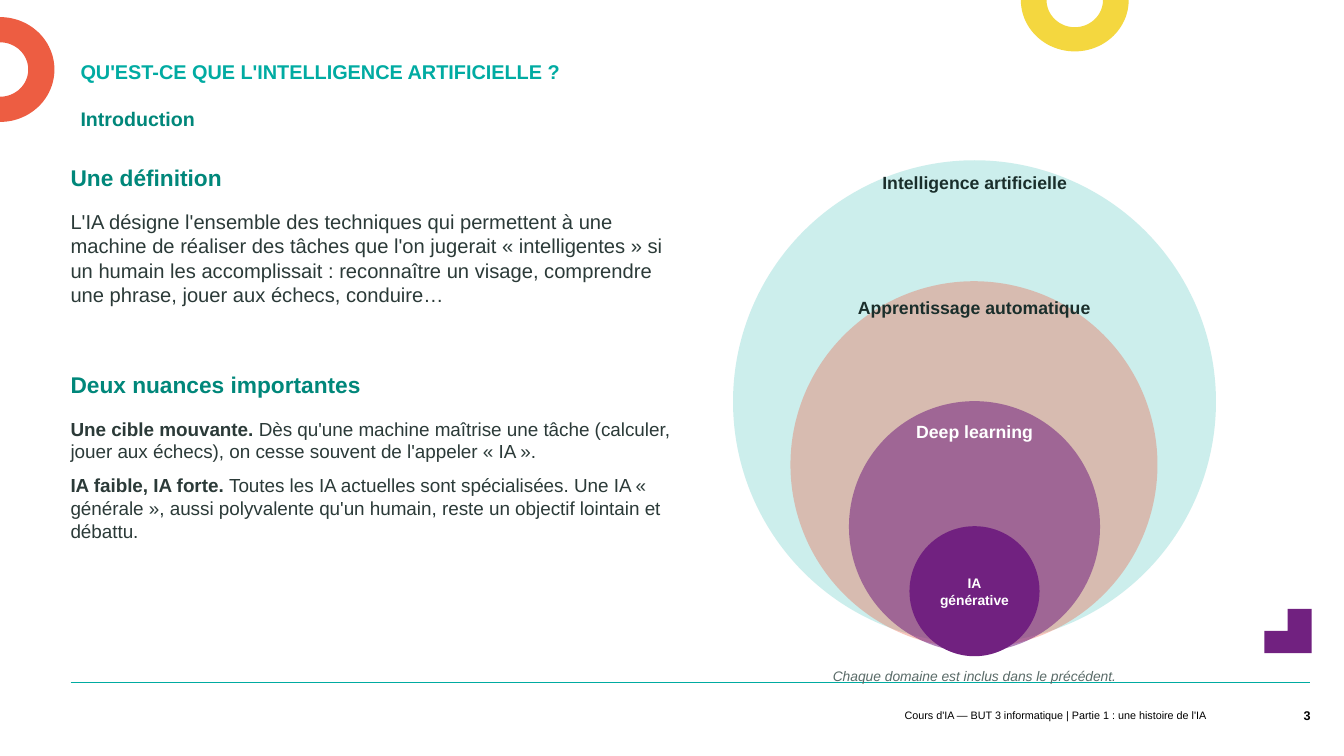
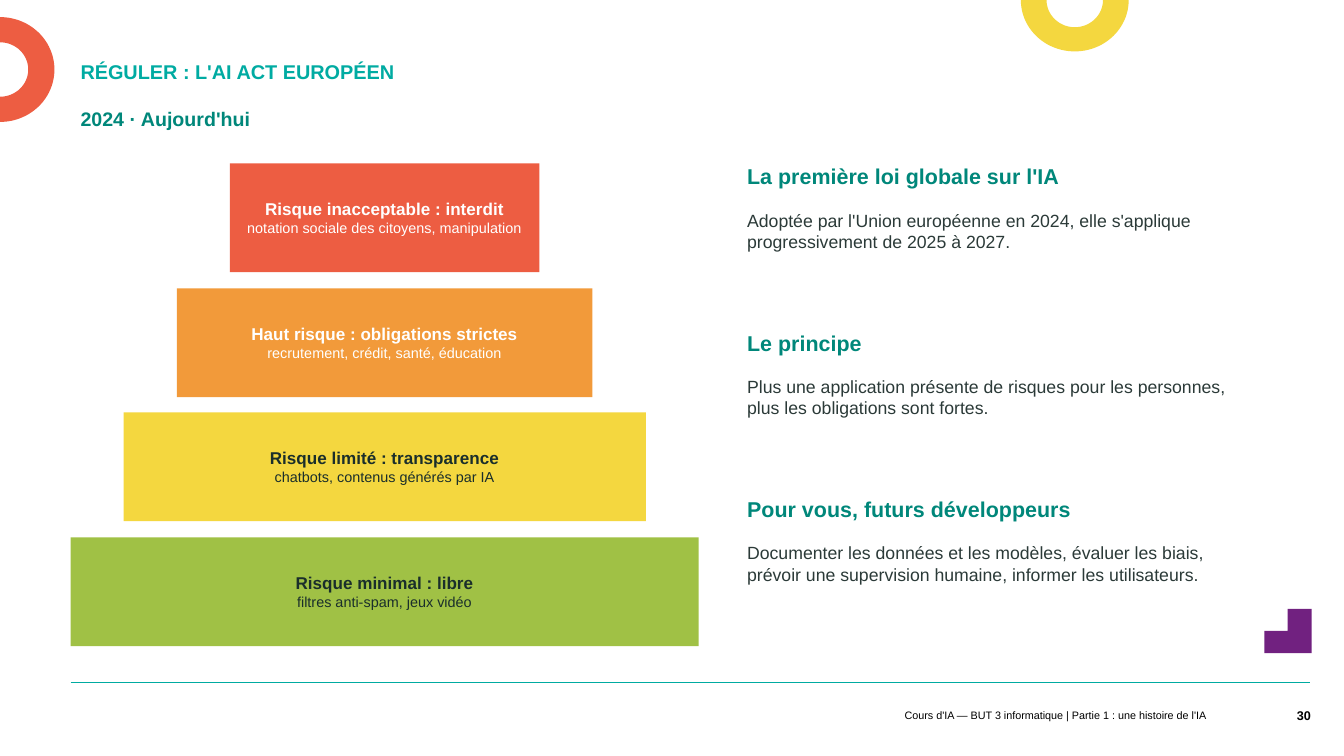
from math import cos, radians, sin

from lxml.etree import SubElement
from pptx import Presentation
from pptx.dml.color import RGBColor
from pptx.enum.shapes import MSO_CONNECTOR, MSO_SHAPE
from pptx.enum.text import MSO_ANCHOR, PP_ALIGN
from pptx.oxml.ns import qn
from pptx.util import Pt

PX = 9144
FONT = "Arial"
COLORS = {
    "title": "00ABA2",
    "rule": "00ABA1",
    "heading": "00877A",
    "body": "2B3A38",
    "dark": "1A2E2B",
    "caption": "5A6B68",
    "black": "000000",
    "white": "FFFFFF",
    "red": "ED5D42",
    "orange": "F29A3A",
    "yellow": "F4D73F",
    "green": "A0C145",
    "purple": "712180",
}
FOOTER = "Cours d'IA — BUT 3 informatique | Partie 1 : une histoire de l'IA"


def emu(*lengths):
    """Convert pixel lengths to EMU."""
    return [round(length * PX) for length in lengths]


def rgb(name):
    """Look up a named colour."""
    return RGBColor.from_string(COLORS[name])


def write(frame, *paragraphs, size, color, bold=False, italic=False,
          align=PP_ALIGN.LEFT, anchor=MSO_ANCHOR.TOP, insets=(0, 0, 0, 0),
          line_spacing=None, space_after=None):
    """Fill a text frame; a paragraph is a string or (text, overrides) runs."""
    frame.word_wrap = True
    frame.vertical_anchor = anchor
    (frame.margin_left, frame.margin_top,
     frame.margin_right, frame.margin_bottom) = emu(*insets)
    for index, runs in enumerate(paragraphs):
        paragraph = frame.add_paragraph() if index else frame.paragraphs[0]
        paragraph.alignment = align
        paragraph.line_spacing = line_spacing
        paragraph.space_after = space_after
        for text, changes in [(runs, {})] if isinstance(runs, str) else runs:
            run = paragraph.add_run()
            run.text = text
            run.font.name = FONT
            run.font.size = Pt(changes.get("size", size))
            run.font.bold = changes.get("bold", bold)
            run.font.italic = italic
            run.font.color.rgb = rgb(color)


class Deck:
    """Course style together with the slide being built."""

    def __init__(self):
        """Open an empty widescreen presentation."""
        self.presentation = Presentation()
        (self.presentation.slide_width,
         self.presentation.slide_height) = emu(1333, 750)
        self.shapes = None

    def start(self, title, subtitle, number):
        """Add a slide with its decoration, headings and footer."""
        layout = self.presentation.slide_layouts[6]
        self.shapes = self.presentation.slides.add_slide(layout).shapes
        self.half_ring(1066, 0, (53.5, 51), (28, 27), 0, "yellow")
        self.half_ring(0, 69, (54, 52), (28, 27), -90, "red")
        self.outline([(1277, 604), (1301, 604), (1301, 648),
                      (1254, 648), (1254, 626), (1277, 626)], "purple")
        self.rule(70, 677, 1299)
        self.text((70, 104, 972, 46), subtitle, size=14, color="heading",
                  bold=True, insets=(10, 5, 10, 5), line_spacing=0.9)
        self.text((70, 54, 972, 34), title, size=14.2, color="title",
                  bold=True, insets=(10, 5, 10, 5), line_spacing=Pt(16.7),
                  anchor=MSO_ANCHOR.BOTTOM)
        self.text((543, 698, 663, 23), FOOTER, size=7.7, color="black",
                  insets=(10, 5, 10, 5), align=PP_ALIGN.RIGHT,
                  anchor=MSO_ANCHOR.MIDDLE)
        self.text((1245, 690, 55, 40), number, size=9, color="black",
                  bold=True, insets=(10, 5, 0, 5), align=PP_ALIGN.RIGHT,
                  anchor=MSO_ANCHOR.MIDDLE)

    def paint(self, shape, color, opacity=100):
        """Give a shape a flat fill without line or shadow."""
        shape.shadow.inherit = False
        shape.line.fill.background()
        shape.fill.solid()
        shape.fill.fore_color.rgb = rgb(color)
        if opacity < 100:
            tint = shape.fill._xPr.find(".//" + qn("a:srgbClr"))
            SubElement(tint, qn("a:alpha"), val=str(opacity * 1000))

    def outline(self, points, color):
        """Draw a filled polygon."""
        first, *others = [emu(*point) for point in points]
        builder = self.shapes.build_freeform(*first)
        builder.add_line_segments(others, close=True)
        self.paint(builder.convert_to_shape(), color)

    def half_ring(self, x, y, outer, inner, start, color):
        """Draw half a ring, clockwise from the start angle."""
        angles = [radians(start + step) for step in range(0, 181, 4)]
        arcs = [(outer, angles), (inner, angles[::-1])]
        self.outline([(x + rx * cos(angle), y + ry * sin(angle))
                      for (rx, ry), sweep in arcs for angle in sweep], color)

    def rule(self, left, y, right):
        """Draw the thin line above the footer."""
        line = self.shapes.add_connector(
            MSO_CONNECTOR.STRAIGHT, *emu(left, y, right, y))
        line.line.color.rgb = rgb("rule")
        line.line.width = Pt(0.5)
        SubElement(line._element.spPr, qn("a:effectLst"))

    def shape(self, kind, area, color, opacity=100):
        """Draw a preset shape and return it."""
        shape = self.shapes.add_shape(kind, *emu(*area))
        self.paint(shape, color, opacity)
        return shape

    def text(self, area, *paragraphs, **style):
        """Place a text box."""
        write(self.shapes.add_textbox(*emu(*area)).text_frame,
              *paragraphs, **style)

    def section(self, area, heading, *paragraphs, heading_size, size,
                space_after=None):
        """Place a heading with its body text below."""
        left, top, width, height = area
        self.text((left, top, width, 41), heading, size=heading_size,
                  color="heading", bold=True)
        self.text((left, top + 46, width, height - 46), *paragraphs,
                  size=size, color="body", space_after=space_after)


def definition_slide(deck):
    """Define AI beside its nested fields."""
    deck.start("QU'EST-CE QUE L'INTELLIGENCE ARTIFICIELLE ?",
               "Introduction", "3")
    deck.section(
        (70, 162, 604, 190), "Une définition",
        "L'IA désigne l'ensemble des techniques qui permettent à une machine "
        "de réaliser des tâches que l'on jugerait « intelligentes » si un "
        "humain les accomplissait : reconnaître un visage, comprendre une "
        "phrase, jouer aux échecs, conduire…",
        heading_size=16.2, size=14.4)
    deck.section(
        (70, 368, 604, 273), "Deux nuances importantes",
        [("Une cible mouvante. ", {"bold": True}),
         ("Dès qu'une machine maîtrise une tâche (calculer, jouer aux "
          "échecs), on cesse souvent de l'appeler « IA ».", {})],
        [("IA faible, IA forte. ", {"bold": True}),
         ("Toutes les IA actuelles sont spécialisées. Une IA « générale », "
          "aussi polyvalente qu'un humain, reste un objectif lointain et "
          "débattu.", {})],
        heading_size=16.2, size=13.5, space_after=Pt(8))

    center = 966
    label = dict(bold=True, align=PP_ALIGN.CENTER, anchor=MSO_ANCHOR.MIDDLE)
    fields = [
        ("Intelligence artificielle", 159, 479, 160, "title", 20, "dark"),
        ("Apprentissage automatique", 279, 364, 284, "red", 35, "dark"),
        ("Deep learning", 398, 249, 407, "purple", 55, "white"),
    ]
    for name, top, diameter, name_top, color, opacity, ink in fields:
        left = center - diameter // 2
        deck.shape(MSO_SHAPE.OVAL, (left, top, diameter, diameter),
                   color, opacity)
        deck.text((left + 10, name_top, diameter - 20, 41), name,
                  size=12.6, color=ink, **label)
    generative = deck.shape(MSO_SHAPE.OVAL, (902, 522, 129, 129), "purple")
    write(generative.text_frame, "IA", "générative",
          size=9.9, color="white", **label)
    deck.text((727, 662, 479, 31),
              "Chaque domaine est inclus dans le précédent.",
              size=9.9, color="caption", italic=True, align=PP_ALIGN.CENTER)


def regulation_slide(deck):
    """Show the risk pyramid of the AI Act."""
    deck.start("RÉGULER : L'AI ACT EUROPÉEN", "2024 · Aujourd'hui", "30")
    risks = [
        ("Risque inacceptable : interdit",
         "notation sociale des citoyens, manipulation", "red", "white"),
        ("Haut risque : obligations strictes",
         "recrutement, crédit, santé, éducation", "orange", "white"),
        ("Risque limité : transparence",
         "chatbots, contenus générés par IA", "yellow", "dark"),
        ("Risque minimal : libre",
         "filtres anti-spam, jeux vidéo", "green", "dark"),
    ]
    narrowest, widest = 307, 623
    for index, (level, examples, color, ink) in enumerate(risks):
        width = round(narrowest + (widest - narrowest) * index / 3)
        area = (70 + (widest - width) / 2, round(162 + 371 * index / 3),
                width, 108)
        step = deck.shape(MSO_SHAPE.RECTANGLE, area, color)
        write(step.text_frame, level, [(examples, {"size": 10.3, "bold": False})],
              size=12.2, color=ink, bold=True, align=PP_ALIGN.CENTER,
              anchor=MSO_ANCHOR.MIDDLE, insets=(10, 0, 10, 0))

    remarks = [
        ("La première loi globale sur l'IA",
         "Adoptée par l'Union européenne en 2024, elle s'applique "
         "progressivement de 2025 à 2027."),
        ("Le principe",
         "Plus une application présente de risques pour les personnes, "
         "plus les obligations sont fortes."),
        ("Pour vous, futurs développeurs",
         "Documenter les données et les modèles, évaluer les biais, prévoir "
         "une supervision humaine, informer les utilisateurs."),
    ]
    for index, (heading, remark) in enumerate(remarks):
        deck.section((741, 162 + 165 * index, 489, 159), heading, remark,
                     heading_size=15.3, size=12.6)


def main():
    """Build and save the presentation."""
    deck = Deck()
    definition_slide(deck)
    regulation_slide(deck)
    deck.presentation.save("out.pptx")


if __name__ == "__main__":
    main()
